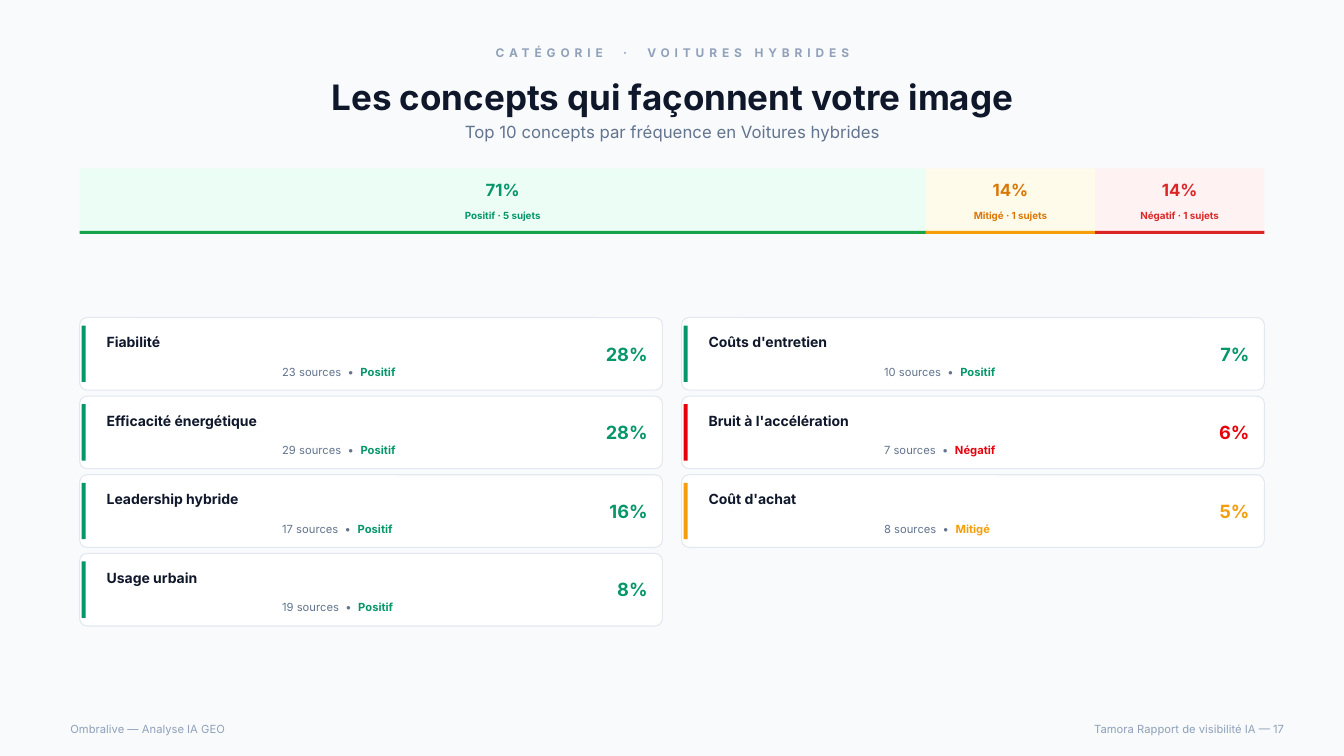
import pptx
import pptx.util
import pptx.dml.color
import pptx.enum.shapes
import pptx.enum.text

Inches = pptx.util.Inches
Shape = pptx.enum.shapes.MSO_SHAPE
Align = pptx.enum.text.PP_ALIGN
Anchor = pptx.enum.text.MSO_ANCHOR

# Theme: colours, tones and type sizes
THEME = {
    "page": "F8FAFC", "card": "FFFFFF", "edge": "E2E8F0",
    # tone: gauge fill, gauge line, gauge text, card accent
    "tones": {
        "Positif": ("ECFDF5", "16A34A", "059669", "059669"),
        "Mitigé": ("FFFBEB", "F59E0B", "D97706", "F59E0B"),
        "Négatif": ("FEF2F2", "DC2626", "DC2626", "E7000B"),
    },
    # style: point size, bold, colour
    "type": {
        "label": (8.5, True, "90A1B9"),
        "title": (25, True, "0F172A"),
        "lead": (12, False, "62748E"),
        "foot": (8, False, "90A1B9"),
        "share": (12, True, None),
        "count": (7, True, None),
        "name": (10, True, "0F172A"),
        "source": (8, False, "62748E"),
        "mood": (8, True, None),
        "score": (13, True, None),
    },
}
rgb = pptx.dml.color.RGBColor.from_string

deck = pptx.Presentation()
deck.slide_width, deck.slide_height = Inches(13.33), Inches(7.5)
slide = deck.slides.add_slide(deck.slide_layouts[5])
slide.background.fill.solid()
slide.background.fill.fore_color.rgb = rgb(THEME["page"])


def write(place, runs, align=Align.LEFT, anchor=Anchor.MIDDLE, box=None):
    """Set runs of (text, style, colour or None) in a box at place."""
    spots = [Inches(n) for n in place]
    box = box or slide.shapes.add_textbox(*spots)
    box.left, box.top, box.width, box.height = spots
    frame = box.text_frame
    form = {"word_wrap": True, "vertical_anchor": anchor,
            "auto_size": pptx.enum.text.MSO_AUTO_SIZE.NONE}
    for key, value in form.items():
        setattr(frame, key, value)
    line = frame.paragraphs[0]
    line.alignment = align
    for words, style, tint in runs:
        size, bold, ink = THEME["type"][style]
        run = line.add_run()
        run.text = words
        look = {"name": "Inter", "size": pptx.util.Pt(size), "bold": bold}
        for key, value in look.items():
            setattr(run.font, key, value)
        run.font.color.rgb = rgb(tint or ink)
    return line


def block(kind, place, fill, edge=None):
    """Draw a flat shape, with a thin outline if edge is given."""
    shape = slide.shapes.add_shape(kind, *[Inches(n) for n in place])
    shape.shadow.inherit = False
    shape.fill.solid()
    shape.fill.fore_color.rgb = rgb(fill)
    if edge:
        shape.line.color.rgb = rgb(edge)
        shape.line.width = pptx.util.Pt(0.75)
    else:
        shape.line.fill.background()
    return shape


# Heading
label = write((0.6, 0.4, 12.14, 0.25),
              [("CATÉGORIE  ·  VOITURES HYBRIDES", "label", None)], Align.CENTER)
label.runs[0].font._element.set("spc", "350")
write((0.6, 0.68, 12.14, 0.56),
      [("Les concepts qui façonnent votre image", "title", None)],
      Align.CENTER, box=slide.shapes.title)
write((0.6, 1.18, 12.14, 0.25),
      [("Top 10 concepts par fréquence en Voitures hybrides", "lead", None)],
      Align.CENTER)

# Footer
write((0.6, 7.12, 5.97, 0.22), [("Ombralive — Analyse IA GEO", "foot", None)])
write((6.81, 7.12, 6.03, 0.22),
      [("Tamora Rapport de visibilité IA — 17", "foot", None)], Align.RIGHT)

# Gauge: each band as wide as its share of topics
left, span = 0.79, 11.75
counts = {"Positif": 5, "Mitigé": 1, "Négatif": 1}
total = sum(counts.values())
x = left
for mood, count in counts.items():
    pale, rule, ink, _ = THEME["tones"][mood]
    wide = span * count / total
    block(Shape.RECTANGLE, (x, 1.67, wide, 0.65), pale)
    block(Shape.RECTANGLE, (x, 2.29, wide, 0.03), rule)
    write((x, 1.74, wide, 0.28), [(f"{count / total:.0%}", "share", ink)],
          Align.CENTER)
    write((x, 2.03, wide, 0.22), [(f"{mood} · {count} sujets", "count", ink)],
          Align.CENTER)
    x += wide

# Concept cards: down the left column, then the right
cards = [
    ("Fiabilité", 23, "Positif", 28),
    ("Efficacité énergétique", 29, "Positif", 28),
    ("Leadership hybride", 17, "Positif", 16),
    ("Usage urbain", 19, "Positif", 8),
    ("Coûts d'entretien", 10, "Positif", 7),
    ("Bruit à l'accélération", 7, "Négatif", 6),
    ("Coût d'achat", 8, "Mitigé", 5),
]
rows = 4
for i, (name, source, mood, score) in enumerate(cards):
    x = left + i // rows * 5.97
    y = 3.15 + i % rows * 0.78
    ink = THEME["tones"][mood][3]
    card = block(Shape.ROUNDED_RECTANGLE, (x, y, 5.78, 0.72),
                 THEME["card"], THEME["edge"])
    card.adjustments[0] = 0.1
    block(Shape.RECTANGLE, (x + 0.02, y + 0.08, 0.04, 0.56), ink)
    write((x + 0.17, y + 0.11, 4.53, 0.27), [(name, "name", None)],
          anchor=Anchor.TOP)
    write((x + 1.91, y + 0.42, 2.79, 0.22),
          [(f"{source} sources  •  ", "source", None), (mood, "mood", ink)],
          anchor=Anchor.TOP)
    write((x + 5.01, y, 0.72, 0.72), [(f"{score}%", "score", ink)], Align.RIGHT)

deck.save("out.pptx")
